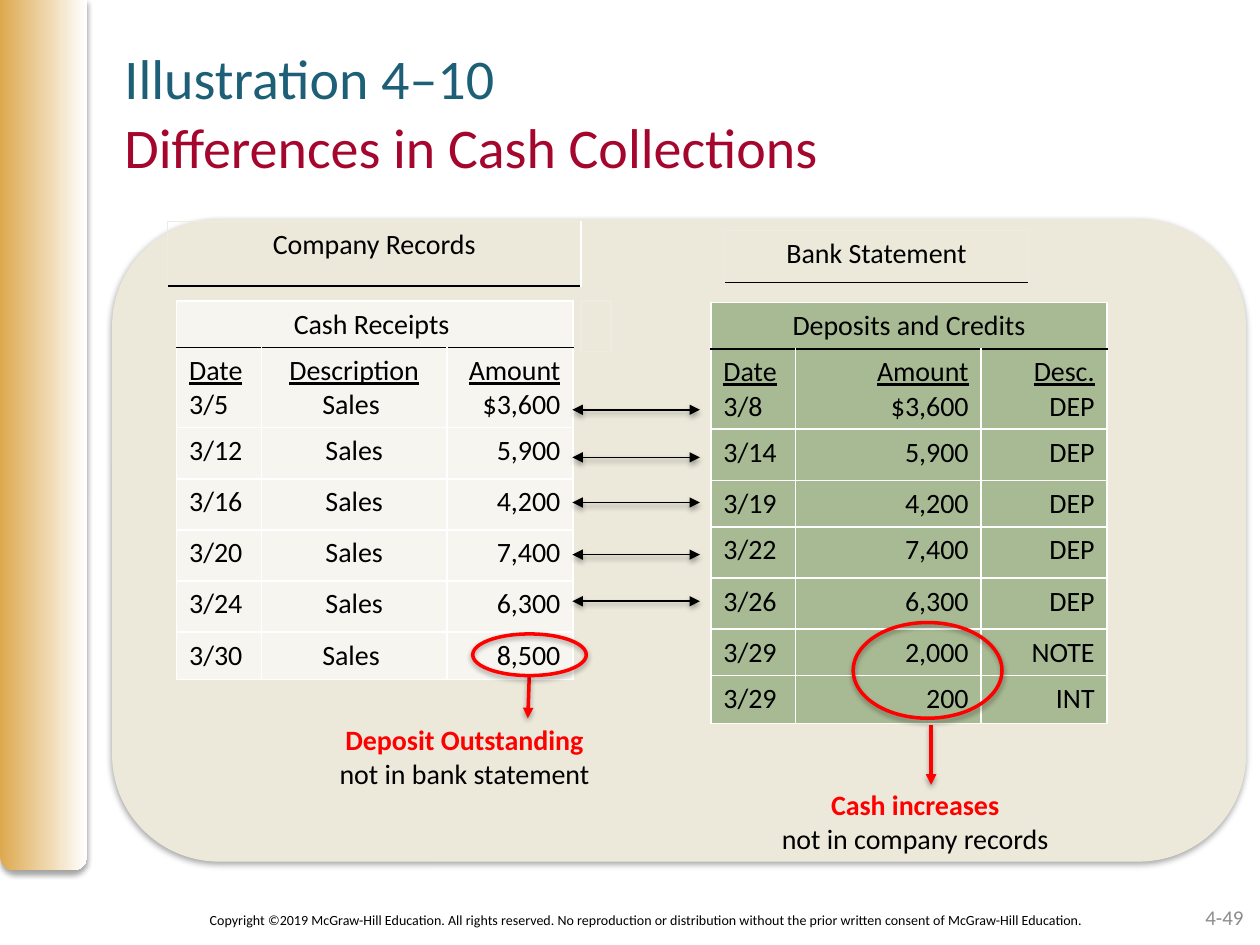
import lxml.etree
import pptx
import pptx.dml.color
import pptx.enum.shapes
import pptx.enum.text
import pptx.oxml.ns
import pptx.util

Cm, Pt = pptx.util.Cm, pptx.util.Pt
Align = pptx.enum.text.PP_ALIGN
Anchor = pptx.enum.text.MSO_ANCHOR
Shape = pptx.enum.shapes.MSO_SHAPE
qn = pptx.oxml.ns.qn
sub = lxml.etree.SubElement
LEFT, MID, RIGHT = Align.LEFT, Align.CENTER, Align.RIGHT
BLACK, WHITE, RED, PALE = "000000", "FFFFFF", "FF0000", "EEECE1"


def ink(code):
    return pptx.dml.color.RGBColor.from_string(code)


def write(frame, lines, align, size=16):
    """Fill a text frame with (text, colour, style) lines; style is b, u or empty."""
    frame.word_wrap = True
    for i, (text, code, style) in enumerate(lines):
        para = frame.paragraphs[0] if i == 0 else frame.add_paragraph()
        para.alignment = align
        run = para.add_run()
        run.text = text
        run.font.name = "Calibri"
        run.font.size = Pt(size)
        run.font.color.rgb = ink(code)
        run.font.bold = style == "b"
        run.font.underline = style == "u"


deck = pptx.Presentation()
deck.slide_width, deck.slide_height = Cm(25.4), Cm(19.05)
slide = deck.slides.add_slide(deck.slide_layouts[6])
shapes = slide.shapes
shaded = []

# Side bar and panel
bar = shapes.add_shape(Shape.ROUND_2_SAME_RECTANGLE, 0, 0, Cm(1.76), Cm(17.55))
bar._element.spPr.xfrm.set("flipV", "1")
bar.fill.gradient()
bar.fill.gradient_angle = 0
for stop, code in zip(bar.fill.gradient_stops, ("DDA94F", WHITE)):
    stop.color.rgb = ink(code)
panel = shapes.add_shape(Shape.ROUNDED_RECTANGLE, Cm(2.26), Cm(4.42), Cm(22.86), Cm(12.95))
panel.fill.solid()
panel.fill.fore_color.rgb = ink("ECE9DB")
for shape in (bar, panel):
    shape.line.fill.background()
    shaded.append(shape)

# Title, footer and captions
notice = ("Copyright ©2019 McGraw-Hill Education. All rights reserved. No reproduction or "
          "distribution without the prior written consent of McGraw-Hill Education.")
texts = [
    (2.26, 0.41, 22.86, 3.18, LEFT, 32, Anchor.TOP,
     [("Illustration 4–10", "1D5F76", ""), ("Differences in Cash Collections", "A5062D", "")]),
    (3.96, 18.03, 18.16, 1.02, MID, 8, Anchor.MIDDLE, [(notice, BLACK, "")]),
    (19.4, 17.98, 5.92, 1.02, RIGHT, 12, Anchor.MIDDLE, [("4-49", "8C8C8C", "")]),
    (6.43, 14.45, 5.87, 1.63, MID, 16, Anchor.TOP,
     [("Deposit Outstanding", RED, "b"), ("not in bank statement", BLACK, "")]),
    (14.6, 15.75, 7.7, 1.63, MID, 16, Anchor.TOP,
     [("Cash increases", RED, "b"), ("not in company records", BLACK, "")]),
]
for x, y, w, h, align, size, anchor, lines in texts:
    box = shapes.add_textbox(Cm(x), Cm(y), Cm(w), Cm(h))
    box.text_frame.vertical_anchor = anchor
    write(box.text_frame, lines, align, size)
    if size == 32:
        box.text_frame.margin_top = Cm(0.47)
        box.text_frame.paragraphs[1].space_before = Pt(1)

# Tables: a line break in a cell splits an underlined heading from its first value
books = [
    ["Cash Receipts "],
    ["Date\n3/5", "Description\nSales ", "Amount\n$3,600"],
    ["3/12", "Sales", "5,900"],
    ["3/16", "Sales", "4,200"],
    ["3/20", "Sales", "7,400"],
    ["3/24", "Sales", "6,300"],
    ["3/30", "Sales ", "8,500"],
]
bank = [
    ["Deposits and Credits"],
    ["Date\n3/8", "Amount\n$3,600", "Desc.\nDEP"],
    ["3/14", "5,900", "DEP"],
    ["3/19", "4,200", "DEP"],
    ["3/22", "7,400", "DEP"],
    ["3/26", "6,300", "DEP"],
    ["3/29", "2,000", "NOTE"],
    ["3/29", "200", "INT"],
]
wide = [1.71, 3.74, 2.54]
tables = [
    (3.56, 6.07, wide, [0.93, 1.62, 1.03, 1.03, 1.03, 1.03, 0.96], books,
     "F7F5EF", [LEFT, MID, RIGHT], [WHITE] * 4),
    (3.38, 4.47, [8.33], [1.3], [["Company Records"]],
     None, [MID], [PALE, WHITE, PALE, BLACK]),
    (14.61, 4.65, [6.12], [1.04], [["Bank Statement"]],
     None, [MID], [PALE, PALE, PALE, BLACK]),
    (11.71, 6.07, [0.58], [1.02], [[""]], None, [MID], [PALE] * 4),
    (14.33, 6.1, wide, [0.93, 1.62, 1.03, 0.94, 1.03, 1.03, 0.94, 0.96], bank,
     "A8BA93", [LEFT, RIGHT, RIGHT], [WHITE] * 4),
]
for x, y, cols, rows, data, fill, aligns, edges in tables:
    table = shapes.add_table(len(rows), len(cols), Cm(x), Cm(y),
                             Cm(sum(cols)), Cm(sum(rows))).table
    table.first_row = table.horz_banding = False
    for col, w in zip(table.columns, cols):
        col.width = Cm(w)
    for r, h in enumerate(rows):
        table.rows[r].height = Cm(h)
        for c in range(len(cols)):
            cell = table.cell(r, c)
            if fill:
                cell.fill.solid()
                cell.fill.fore_color.rgb = ink(fill)
            else:
                cell.fill.background()
            codes = list(edges)
            if len(rows) > 1 and r < 2:
                codes[3 if r == 0 else 2] = BLACK
            prop = cell._tc.get_or_add_tcPr()
            for i, (side, code) in enumerate(zip("LRTB", codes)):
                edge = lxml.etree.Element(qn("a:ln" + side), w="12700")
                paint = sub(edge, qn("a:solidFill"))
                sub(paint, qn("a:srgbClr"), val=code)
                prop.insert(i, edge)
    if len(cols) > 1:
        table.cell(0, 0).merge(table.cell(0, len(cols) - 1))
    for r, row in enumerate(data):
        for c, text in enumerate(row):
            parts = text.split("\n")
            lines = [(part, BLACK, "u" if i + 1 < len(parts) else "")
                     for i, part in enumerate(parts)]
            if text:
                write(table.cell(r, c).text_frame, lines, MID if len(row) == 1 else aligns[c])

# Arrows: matching rows in black, notes in red
arrows = [(11.54, y, 14.11, y, BLACK, 1) for y in (8.26, 9.22, 10.13, 11.18, 12.12)]
arrows += [(10.67, 13.61, 10.64, 14.48, RED, 2), (18.77, 14.61, 18.77, 15.82, RED, 2)]
for x, y, right, low, code, width in arrows:
    arrow = shapes.add_connector(pptx.enum.shapes.MSO_CONNECTOR.STRAIGHT,
                                 Cm(x), Cm(y), Cm(right), Cm(low))
    arrow.line.color.rgb = ink(code)
    arrow.line.width = Pt(width)
    line = arrow.line._get_or_add_ln()
    for end in ("headEnd", "tailEnd") if code == BLACK else ("tailEnd",):
        sub(line, qn("a:" + end), type="triangle")
    shaded.append(arrow)

# Rings around the unmatched amounts
for x, y, w, h in ((9.53, 12.78, 2.29, 0.84), (17.2, 12.55, 3.0, 1.93)):
    ring = shapes.add_shape(Shape.OVAL, Cm(x), Cm(y), Cm(w), Cm(h))
    ring.fill.background()
    ring.line.color.rgb = ink(RED)
    ring.line.width = Pt(2)
    shaded.append(ring)

# Soft shadow below each drawn shape
for shape in shaded:
    effect = sub(shape._element.spPr, qn("a:effectLst"))
    shade = sub(effect, qn("a:outerShdw"), blurRad="39370", dist="22860",
                dir="5400000", rotWithShape="0")
    tone = sub(shade, qn("a:srgbClr"), val=BLACK)
    sub(tone, qn("a:alpha"), val="35000")

deck.save("out.pptx")
